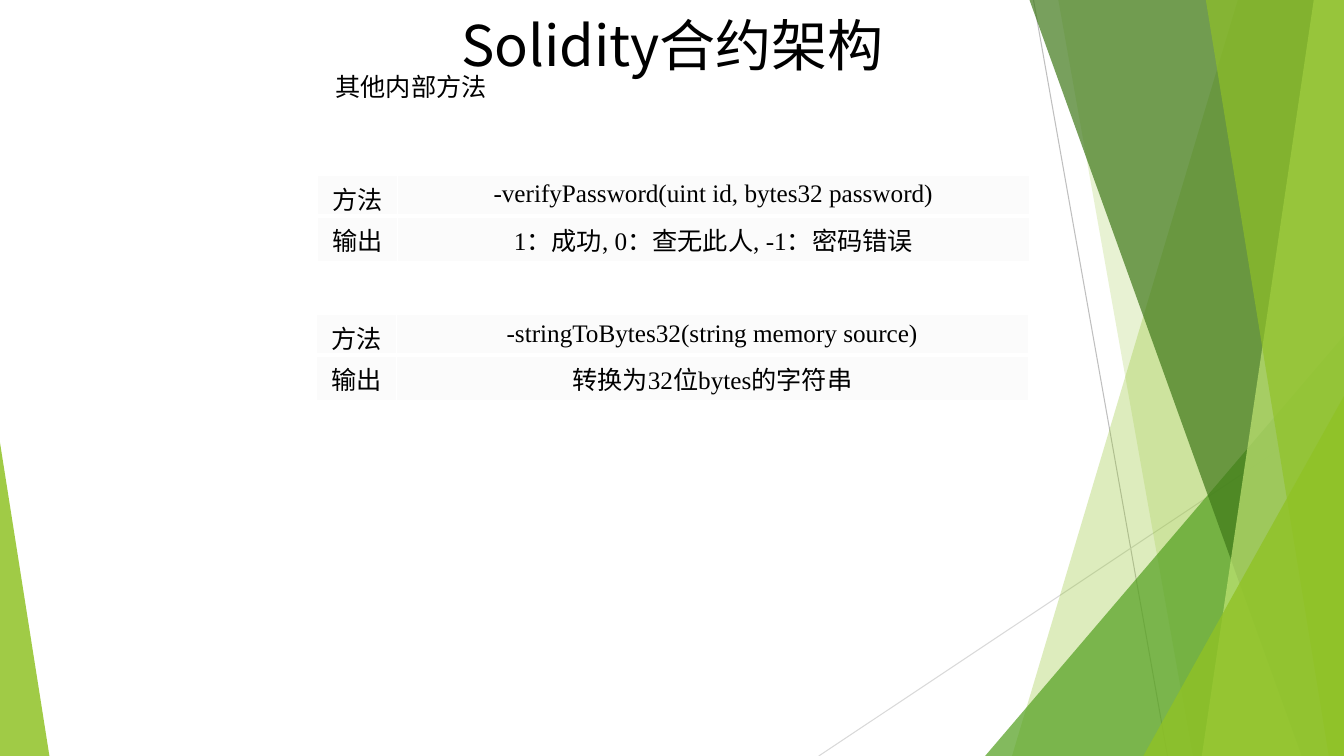
"""Build a slide listing the internal methods of a Solidity contract."""
from lxml import etree
from pptx import Presentation
from pptx import util as u
from pptx.dml.color import RGBColor
from pptx.enum import shapes, text
from pptx.oxml import ns

THEME = {
    "lime": "90C226", "green": "54A021", "forest": "3F7819", "pale": "C0E474",
    "ink": "000000", "cell": "FBFBFB", "border": "FFFFFF",
    "steep": "BFBFBF", "shallow": "D9D9D9",
    "title": 40, "body": 18, "sans": "Noto Sans CJK SC", "serif": "Times New Roman",
}

deck = Presentation()
deck.slide_width, deck.slide_height = u.Inches(13.333), u.Inches(7.5)
page = deck.slides.add_slide(deck.slide_layouts[6])
column, row = deck.slide_width / 100, deck.slide_height / 100


def write(para, words, size, font, align, spacing=1.0):
    """Put one formatted run into a paragraph."""
    para.alignment, para.line_spacing = align, spacing
    span = para.add_run()
    span.text = words
    span.font.size, span.font.name = u.Pt(size), font
    span.font.color.rgb = RGBColor.from_string(THEME["ink"])
    if font == THEME["sans"]:
        latin = span.font._element.find(ns.qn("a:latin"))
        east = etree.Element(ns.qn("a:ea"), typeface=font)
        latin.addnext(east)


def paint(shape, color, opacity):
    """Give a shape a see-through fill and no outline."""
    shape.shadow.inherit = False
    shape.line.fill.background()
    shape.fill.solid()
    shape.fill.fore_color.rgb = RGBColor.from_string(THEME[color])
    tint = shape.fill._xPr.find(".//" + ns.qn("a:srgbClr"))
    etree.SubElement(tint, ns.qn("a:alpha"), val=str(opacity * 1000))


for x1, y1, x2, y2, color in [(76.9, 0, 86.87, 100, "steep"),
                              (100, 53.73, 60.92, 100, "shallow")]:
    ray = page.shapes.add_connector(
        shapes.MSO_CONNECTOR.STRAIGHT, int(x1 * column), int(y1 * row),
        int(x2 * column), int(y2 * row))
    ray.line.color.rgb = RGBColor.from_string(THEME[color])
    ray.line.width = u.Pt(0.75)
    etree.SubElement(ray._element.spPr, ns.qn("a:effectLst"))

facets = [
    ("shard", 92.1, 75.3, "lime", 30),
    ("shard", 78.75, 88.75, "lime", 20),
    ("right", 73.3, 44.4, "green", 72),
    ("shard", 76.6, 96.85, "forest", 70),
    ("shard", 97.75, 89.42, "pale", 70),
    ("shard", 89.72, 98.87, "lime", 65),
    ("right", 85.07, 52.4, "lime", 80),
    ("left", 3.68, 58.53, "lime", 85),
]
for kind, first, second, color, opacity in facets:
    if kind == "shard":
        outline = page.shapes.build_freeform(int(first * column), 0)
        outline.add_line_segments([
            (deck.slide_width, 0), (deck.slide_width, deck.slide_height),
            (int(second * column), deck.slide_height)])
        facet = outline.convert_to_shape()
    else:
        left, width = (first, 100 - first) if kind == "right" else (0, first)
        facet = page.shapes.add_shape(
            shapes.MSO_SHAPE.ISOSCELES_TRIANGLE, int(left * column), int(second * row),
            int(width * column), int((100 - second) * row))
        facet.adjustments[0] = 1 if kind == "right" else 0
    paint(facet, color, opacity)

box = page.shapes.add_textbox(int(24.23 * column), int(1.73 * row),
                              int(51.6 * column), int(14.4 * row))
frame = box.text_frame
frame.word_wrap = True
write(frame.paragraphs[0], "Solidity合约架构", THEME["title"], THEME["sans"],
      text.PP_ALIGN.CENTER, 0.9)
write(frame.add_paragraph(), "其他内部方法", THEME["body"], THEME["sans"],
      text.PP_ALIGN.LEFT, 0.75)

widths, heights = (5.93, 47.03), (5.33, 6)
methods = [
    (23.63, 23.2, "-verifyPassword(uint id, bytes32 password)",
     "1：成功, 0：查无此人, -1：密码错误"),
    (23.55, 41.6, "-stringToBytes32(string memory source)",
     "转换为32位bytes的字符串"),
]
for left, top, method, output in methods:
    table = page.shapes.add_table(
        2, 2, int(left * column), int(top * row),
        int(sum(widths) * column), int(sum(heights) * row)).table
    for index in range(2):
        table.columns[index].width = int(widths[index] * column)
        table.rows[index].height = int(heights[index] * row)
    for r, entries in enumerate([("方法", method), ("输出", output)]):
        for c, words in enumerate(entries):
            cell = table.cell(r, c)
            cell.fill.solid()
            cell.fill.fore_color.rgb = RGBColor.from_string(THEME["cell"])
            write(cell.text_frame.paragraphs[0], words, THEME["body"],
                  THEME["serif"], text.PP_ALIGN.CENTER)
            for place, side in enumerate(["lnL", "lnR", "lnT", "lnB"]):
                weight = 3 if r == 0 and side == "lnB" else 1
                edge = etree.Element(ns.qn("a:" + side), w=str(u.Pt(weight)))
                solid = etree.SubElement(edge, ns.qn("a:solidFill"))
                etree.SubElement(solid, ns.qn("a:srgbClr"), val=THEME["border"])
                cell._tc.get_or_add_tcPr().insert(place, edge)

deck.save("out.pptx")
